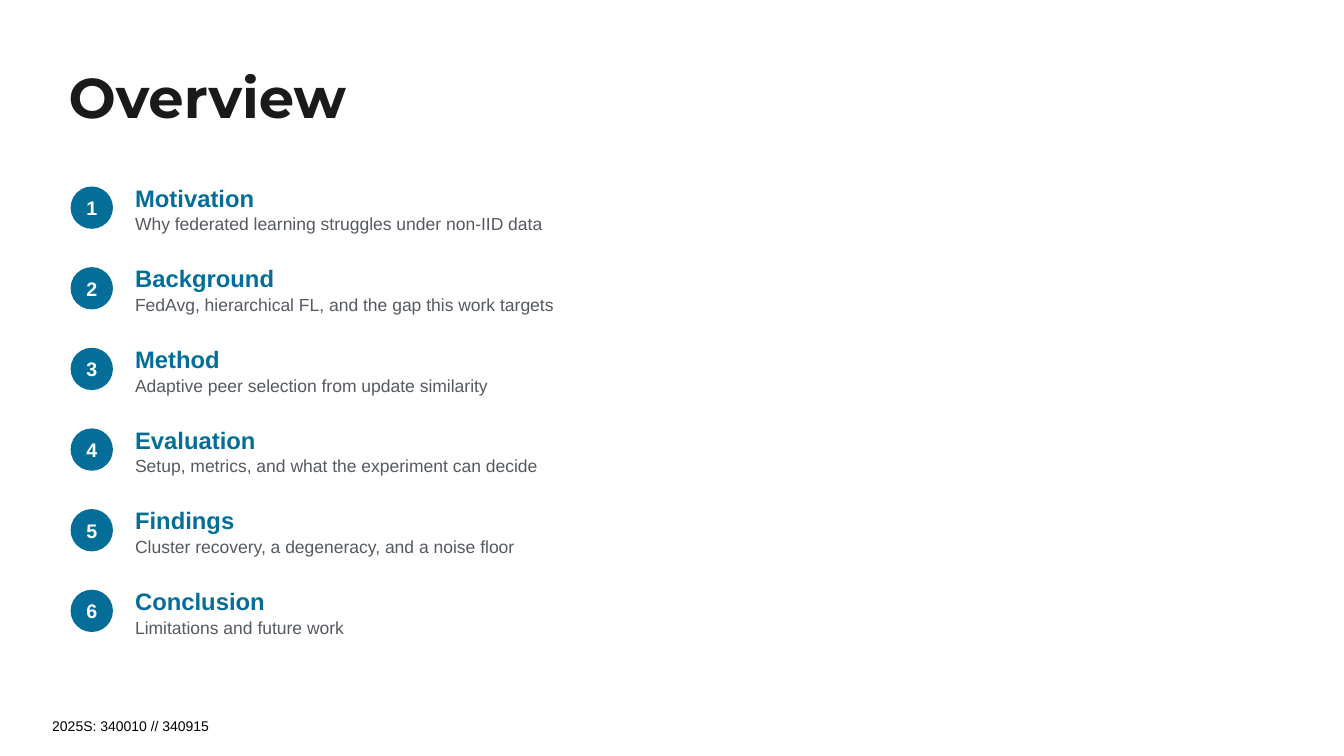
from pptx import Presentation
from pptx.dml.color import RGBColor
from pptx.enum.shapes import MSO_SHAPE
from pptx.enum.text import MSO_ANCHOR, MSO_AUTO_SIZE, PP_ALIGN
from pptx.util import Inches, Pt

TEAL, GREY = "046E98", "555A60"
TOP, ROW_H = 1.85, 0.8
BADGE_X, BADGE_D, TEXT_X = 0.7, 0.42, 1.34

TOPICS = [
    ("Motivation", "Why federated learning struggles under non-IID data"),
    ("Background", "FedAvg, hierarchical FL, and the gap this work targets"),
    ("Method", "Adaptive peer selection from update similarity"),
    ("Evaluation", "Setup, metrics, and what the experiment can decide"),
    ("Findings", "Cluster recovery, a degeneracy, and a noise floor"),
    ("Conclusion", "Limitations and future work"),
]


def style(p, text, size, color, bold=False, name="Arial", after=0):
    p.text = text
    p.space_after = Pt(after)
    p.font.size, p.font.bold, p.font.name = Pt(size), bold, name
    p.font.color.rgb = RGBColor.from_string(color)


def frame(sp, anchor=MSO_ANCHOR.TOP):
    tf = sp.text_frame
    tf.margin_left = tf.margin_top = tf.margin_right = tf.margin_bottom = 0
    tf.word_wrap = True
    tf.auto_size = MSO_AUTO_SIZE.NONE
    tf.vertical_anchor = anchor
    return tf


prs = Presentation()
prs.slide_width, prs.slide_height = Inches(13.33), Inches(7.5)
s = prs.slides.add_slide(prs.slide_layouts[5])

# Title
title = s.shapes.title
title.left, title.top = Inches(0.68), Inches(0.62)
title.width, title.height = Inches(6.4), Inches(1)
p = frame(title).paragraphs[0]
style(p, "Overview", 40, "1A1A1A", True, "Montserrat", 6)
p.alignment = PP_ALIGN.LEFT

# Agenda: one numbered badge, heading and summary per row
for i, (heading, summary) in enumerate(TOPICS):
    y = TOP + i * ROW_H
    sp = s.shapes.add_shape(MSO_SHAPE.OVAL, Inches(BADGE_X), Inches(y),
                            Inches(BADGE_D), Inches(BADGE_D))
    sp.shadow.inherit = False
    sp.fill.solid()
    sp.fill.fore_color.rgb = RGBColor.from_string(TEAL)
    sp.line.fill.background()
    p = frame(sp, MSO_ANCHOR.MIDDLE).paragraphs[0]
    style(p, str(i + 1), 14, "FFFFFF", True)
    p.alignment = PP_ALIGN.CENTER

    box = s.shapes.add_textbox(Inches(TEXT_X), Inches(y - 0.03),
                               Inches(10.9), Inches(0.52))
    tf = frame(box)
    style(tf.paragraphs[0], heading, 17, TEAL, True, after=1)
    style(tf.add_paragraph(), summary, 12.5, GREY)

# Footer
footer = s.shapes.add_textbox(Inches(0.42), Inches(7.07), Inches(1.76), Inches(0.27))
footer.text_frame.word_wrap = False
style(footer.text_frame.paragraphs[0], "2025S: 340010 // 340915", 10, "000000")

prs.save("out.pptx")
